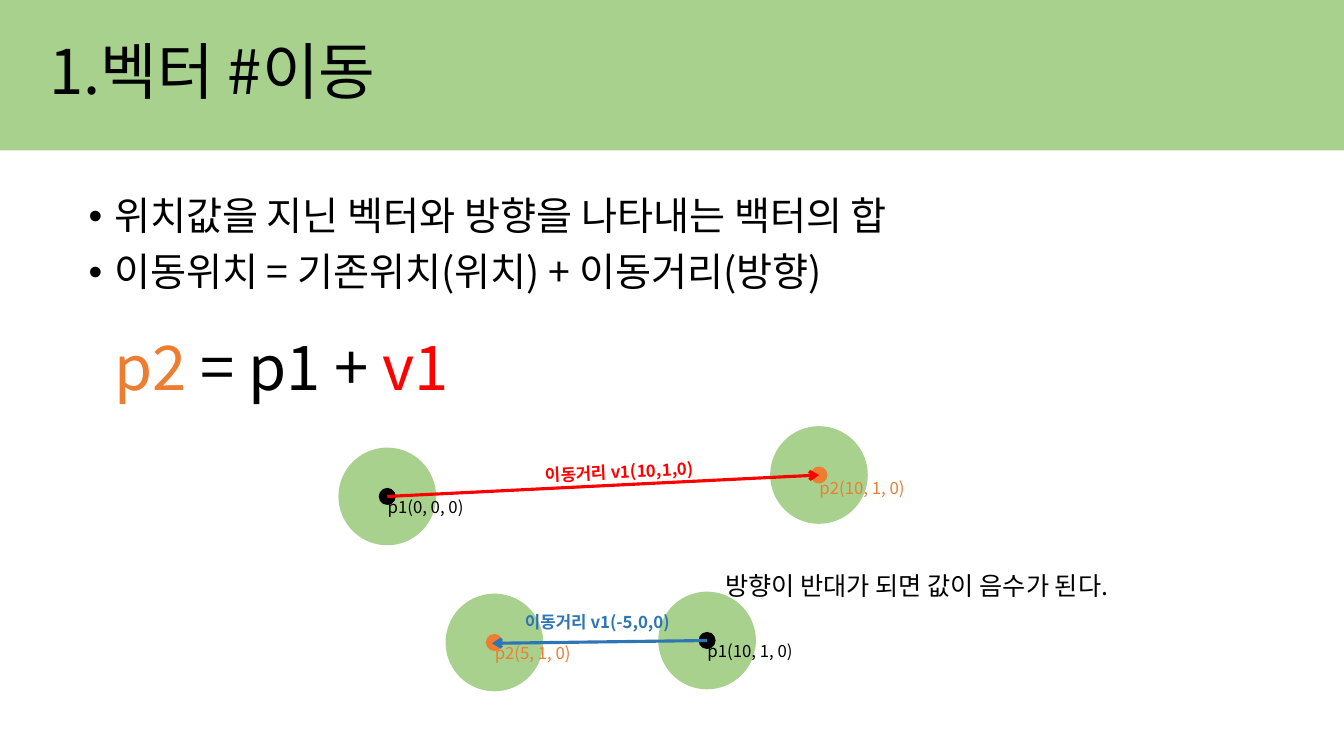
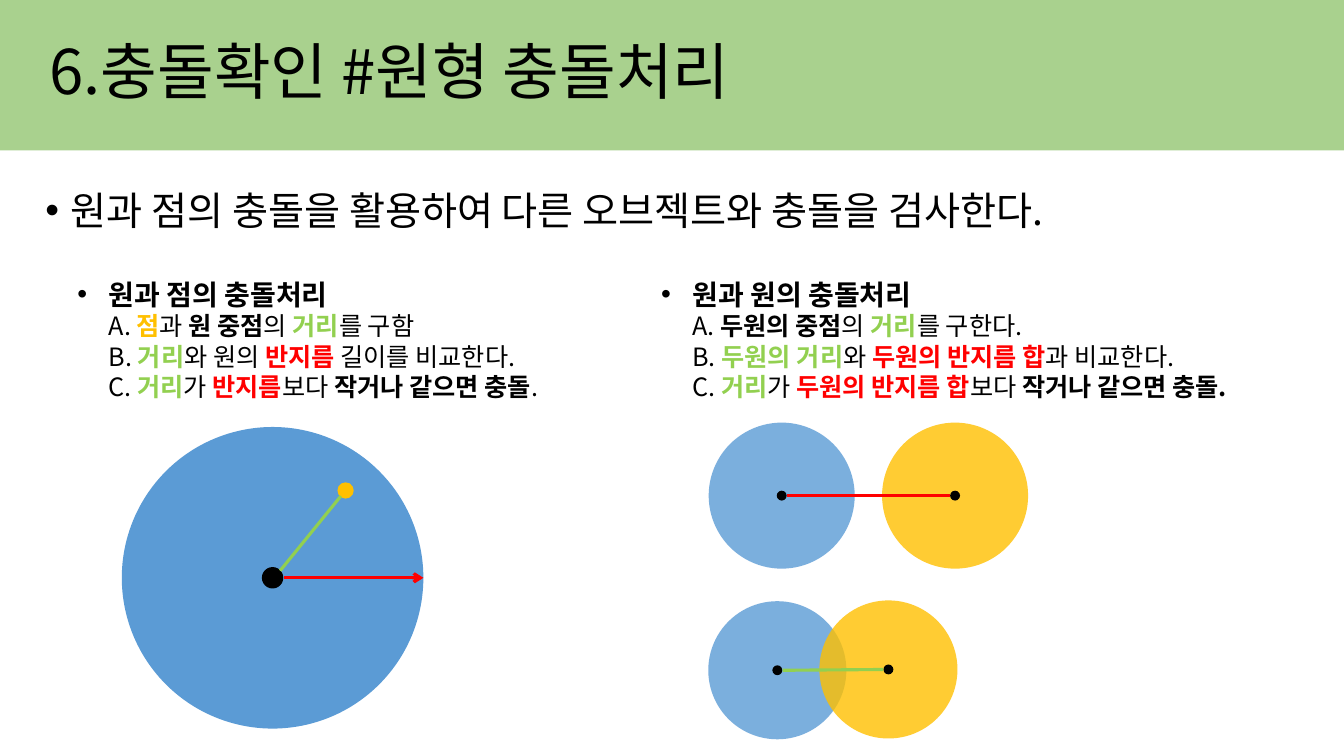
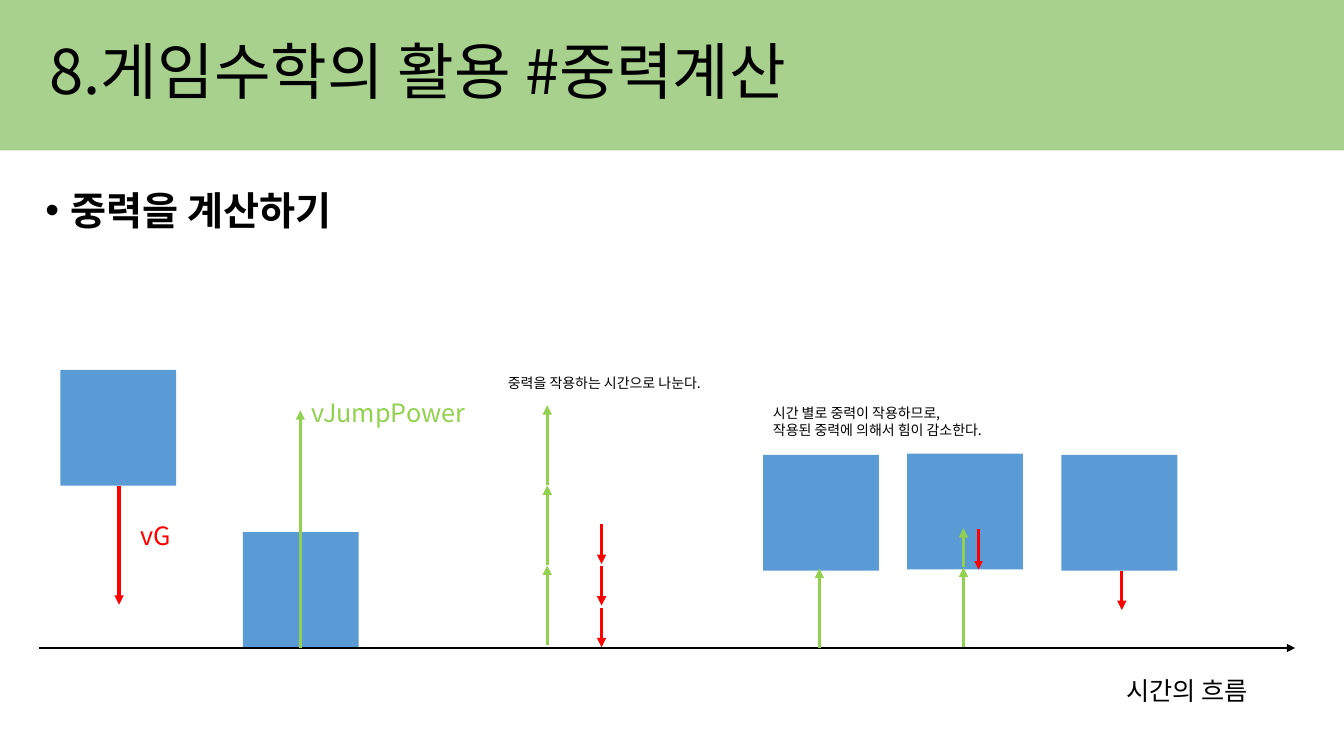
from lxml import etree
from pptx import Presentation
from pptx.dml.color import RGBColor
from pptx.enum.shapes import MSO_CONNECTOR, MSO_SHAPE
from pptx.enum.text import MSO_ANCHOR, MSO_AUTO_SIZE, PP_ALIGN
from pptx.oxml.ns import qn
from pptx.util import Cm, Pt

STRAIGHT = MSO_CONNECTOR.STRAIGHT
OVAL, RECTANGLE = MSO_SHAPE.OVAL, MSO_SHAPE.RECTANGLE
MIDDLE, TOP = MSO_ANCHOR.MIDDLE, MSO_ANCHOR.TOP
NO_FIT = MSO_AUTO_SIZE.NONE
LEFT = PP_ALIGN.LEFT

FONT = "Noto Sans CJK KR"
COLORS = {
    "black": "000000",
    "band": "A9D18E",
    "blue": "5B9BD5",
    "dark_blue": "2E75B6",
    "orange": "ED7D31",
    "yellow": "FFC000",
    "green": "92D050",
    "red": "FF0000",
}


class Deck:
    """Holds the shared style and the slide being drawn."""

    def __init__(self):
        self.presentation = Presentation()
        self.presentation.slide_width = Cm(33.87)
        self.presentation.slide_height = Cm(19.05)
        self.slide = None

    def new_slide(self, title):
        layout = self.presentation.slide_layouts[1]
        self.slide = self.presentation.slides.add_slide(layout)
        # The band lies behind the placeholders
        band = self.shape(RECTANGLE, 0, -0.05, 33.87, 3.84, "band")
        band.element.getparent().insert(2, band.element)
        placeholder = self.slide.shapes.title
        self.place(placeholder, 0.99, 0.05, 29.21, 3.68)
        self.frame(placeholder, MIDDLE)
        self.add_runs(placeholder.text_frame.paragraphs[0], [(title,)], 44, 0.9)

    def place(self, shape, left, top, width, height):
        shape.left, shape.top = Cm(left), Cm(top)
        shape.width, shape.height = Cm(width), Cm(height)

    def frame(self, shape, anchor):
        text_frame = shape.text_frame
        text_frame.word_wrap = True
        text_frame.auto_size = NO_FIT
        text_frame.vertical_anchor = anchor

    def add_runs(self, paragraph, parts, size, line_spacing=1.0, before=0):
        """Each part is (text, colour, bold); the last two may be left out."""
        paragraph.alignment = LEFT
        paragraph.line_spacing = line_spacing
        paragraph.space_before = Pt(before)
        for part in parts:
            text, color, bold = part + ("black", False)[len(part) - 1:]
            run = paragraph.add_run()
            run.text = text
            run.font.size = Pt(size)
            run.font.bold = bold
            run.font.color.rgb = RGBColor.from_string(COLORS[color])
            run.font.name = FONT
            etree.SubElement(run._r.rPr, qn("a:ea")).set("typeface", FONT)

    def indent(self, paragraph, margin, bullet):
        properties = paragraph._p.get_or_add_pPr()
        properties.set("marL", str(Cm(margin)))
        properties.set("indent", str(-Cm(margin) if bullet else 0))
        if bullet:
            etree.SubElement(properties, qn("a:buFont")).set("typeface", "Arial")
            etree.SubElement(properties, qn("a:buChar")).set("char", "•")
        else:
            etree.SubElement(properties, qn("a:buNone"))

    def body(self, left, top, width, height, items):
        placeholder = self.slide.placeholders[1]
        self.place(placeholder, left, top, width, height)
        self.frame(placeholder, TOP)
        text_frame = placeholder.text_frame
        for number, parts in enumerate(items):
            paragraph = text_frame.add_paragraph() if number else text_frame.paragraphs[0]
            self.indent(paragraph, 0.64, True)
            self.add_runs(paragraph, parts, 28, 0.9, 10 if number else 0)
        return text_frame

    def text_box(self, left, top, width, height):
        box = self.slide.shapes.add_textbox(Cm(left), Cm(top), Cm(width), Cm(height))
        self.frame(box, TOP)
        return box

    def text(self, left, top, width, height, lines, size, color="black", bold=False,
             rotation=0):
        box = self.text_box(left, top, width, height)
        box.rotation = rotation
        text_frame = box.text_frame
        for number, line in enumerate(lines):
            paragraph = text_frame.add_paragraph() if number else text_frame.paragraphs[0]
            self.add_runs(paragraph, [(line, color, bold)], size)
        return box

    def steps(self, left, width, heading, lines):
        """A bulleted heading with lettered lines under it."""
        text_frame = self.text_box(left, 6.86, width, 3.43).text_frame
        paragraph = text_frame.paragraphs[0]
        self.indent(paragraph, 0.79, True)
        self.add_runs(paragraph, [(heading, "black", True)], 20)
        for letter, parts in zip("ABC", lines):
            paragraph = text_frame.add_paragraph()
            self.indent(paragraph, 0.79, False)
            self.add_runs(paragraph, [(f"{letter}. ",)] + parts, 18)

    def shape(self, kind, left, top, width, height, color, opacity=100):
        shape = self.slide.shapes.add_shape(kind, Cm(left), Cm(top), Cm(width), Cm(height))
        shape.shadow.inherit = False
        shape.fill.solid()
        shape.fill.fore_color.rgb = RGBColor.from_string(COLORS[color])
        if opacity < 100:
            fill_color = shape.element.spPr.find(".//" + qn("a:srgbClr"))
            etree.SubElement(fill_color, qn("a:alpha")).set("val", str(opacity * 1000))
        shape.line.fill.background()
        return shape

    def circle(self, x, y, diameter, color, opacity=100):
        radius = diameter / 2
        return self.shape(OVAL, x - radius, y - radius, diameter, diameter, color, opacity)

    def marker(self, x, y, label, color, label_rise=0.13):
        """A disc with a centre dot and the name of the point, as one group."""
        parts = [
            self.circle(x, y, 2.46, "band"),
            self.circle(x, y, 0.43, color),
            self.text(x - 0.24, y - label_rise, 3.91, 0.76, [label], 12, color),
        ]
        self.slide.shapes.add_group_shape(parts)

    def line(self, x1, y1, x2, y2, color, head=None, width=2.25):
        connector = self.slide.shapes.add_connector(STRAIGHT, Cm(x1), Cm(y1), Cm(x2), Cm(y2))
        connector.line.color.rgb = RGBColor.from_string(COLORS[color])
        connector.line.width = Pt(width)
        properties = connector.element.spPr
        if head:
            etree.SubElement(properties.find(qn("a:ln")), qn("a:tailEnd")).set("type", head)
        etree.SubElement(properties, qn("a:effectLst"))


def vector_slide(deck):
    deck.new_slide("1.벡터 #이동")
    text_frame = deck.body(1.98, 4.83, 29.21, 7.14, [
        [("위치값을 지닌 벡터와 방향을 나타내는 백터의 합",)],
        [("이동위치 = 기존위치(위치) + 이동거리(방향)",)],
    ])
    formula = text_frame.add_paragraph()
    deck.indent(formula, 0.64, False)
    deck.add_runs(formula, [("p2", "orange"), (" = p1 + ",), ("v1", "red")], 44, 0.9, 30)

    # Move to the right
    deck.marker(9.76, 12.51, "p1(0, 0, 0)", "black")
    deck.marker(20.64, 11.97, "p2(10, 1, 0)", "orange", 0.05)
    deck.line(9.76, 12.51, 20.64, 11.97, "red", "arrow")
    deck.text(13.49, 11.48, 5.31, 0.76, ["이동거리 v1(10,1,0)"], 12, "red", True, -2.7)

    # Move to the left
    deck.marker(17.82, 16.14, "p1(10, 1, 0)", "black")
    deck.marker(12.46, 16.19, "p2(5, 1, 0)", "orange")
    deck.line(17.82, 16.14, 12.4, 16.21, "dark_blue", "arrow")
    deck.text(12.98, 15.29, 5.31, 0.76, ["이동거리 v1(-5,0,0)"], 12, "dark_blue", True)
    deck.text(18.03, 14.25, 11.84, 1.02, ["방향이 반대가 되면 값이 음수가 된다."], 18)


def collision_slide(deck):
    deck.new_slide("6.충돌확인 #원형 충돌처리")
    deck.body(0.89, 4.7, 32.05, 1.63, [
        [("원과 점의 충돌을 활용하여 다른 오브젝트와 충돌을 검사한다.",)],
    ])

    # Circle and point
    distance = ("거리", "green", True)
    radius = ("반지름", "red", True)
    deck.steps(1.7, 14.88, "원과 점의 충돌처리", [
        [("점", "yellow", True), ("과 ",), ("원 중점", "black", True), ("의 ",),
         distance, ("를 구함",)],
        [distance, ("와 원의 ",), radius, (" 길이를 비교한다.",)],
        [distance, ("가 ",), radius, ("보다 ",),
         ("작거나 같으면 충돌", "black", True), (".",)],
    ])
    deck.circle(6.87, 14.56, 7.6, "blue")
    deck.circle(6.87, 14.56, 0.54, "black")
    deck.line(7.16, 14.56, 10.67, 14.56, "red", "arrow")
    deck.circle(8.71, 12.36, 0.41, "yellow")
    deck.line(7.06, 14.38, 8.59, 12.5, "green")

    # Circle and circle
    radius_sum = ("두원의 반지름 합", "red", True)
    deck.steps(16.41, 17.48, "원과 원의 충돌처리", [
        [("두원의 중점", "black", True), ("의 ",), distance, ("를 구한다.",)],
        [("두원의 거리", "green", True), ("와 ",), radius_sum, ("과 비교한다.",)],
        [distance, ("가 ",), radius_sum, ("보다 ",),
         ("작거나 같으면 충돌.", "black", True)],
    ])
    for blue_x, yellow_x, blue_y, yellow_y, diameter, color in (
        (19.7, 24.07, 12.49, 12.49, 3.68, "red"),
        (19.59, 22.39, 16.89, 16.87, 3.48, "green"),
    ):
        for x, y, fill in ((blue_x, blue_y, "blue"), (yellow_x, yellow_y, "yellow")):
            deck.circle(x, y, diameter, fill, 80)
            deck.circle(x, y, 0.25, "black")
        deck.line(blue_x + 0.13, blue_y, yellow_x - 0.13, yellow_y, color)


def gravity_slide(deck):
    deck.new_slide("8.게임수학의 활용 #중력계산")
    deck.body(0.89, 4.7, 32.05, 1.55, [[("중력을 계산하기", "black", True)]])
    ground = 16.33

    # Falling and jumping boxes
    for left, top in ((1.52, 9.32), (6.12, 13.41), (19.23, 11.46),
                      (22.86, 11.43), (26.75, 11.46)):
        deck.shape(RECTANGLE, left, top, 2.92, 2.92, "blue")

    # Time axis
    deck.line(0.99, ground, 32.64, ground, "black", "triangle", 1.5)

    # Vertical forces: x, start, end, colour, width
    forces = [
        (3, 12.24, 15.24, "red", 2.25),
        (7.57, ground, 10.34, "green", 2.25),
        (20.65, ground, 14.33, "green", 2.25),
        (24.28, 16.31, 14.3, "green", 2.25),
        (24.28, 14.3, 13.31, "green", 2.25),
        (24.66, 13.34, 14.35, "red", 1.5),
        (28.27, 14.38, 15.37, "red", 2.25),
    ]
    for step in range(3):
        jump, fall = 16.26 - 2.02 * step, 13.21 + 1.05 * step
        forces.append((13.79, jump, jump - 2.01, "green", 2.25))
        forces.append((15.16, fall, fall + 1, "red", 2.25))
    for x, start, end, color, width in forces:
        deck.line(x, start, x, end, color, "triangle", width)

    # Labels
    deck.text(3.3, 12.98, 1.52, 1.02, ["vG"], 18, "red")
    deck.text(7.59, 9.88, 5.05, 1.02, ["vJumpPower"], 18, "green")
    deck.text(28.14, 16.89, 4.39, 1.02, ["시간의 흐름"], 18)
    deck.text(12.55, 9.3, 6.43, 0.69, ["중력을 작용하는 시간으로 나눈다."], 10)
    deck.text(19.23, 10.08, 11.63, 1.12,
              ["시간 별로 중력이 작용하므로,", "작용된 중력에 의해서 힘이 감소한다."], 10)


def main():
    deck = Deck()
    vector_slide(deck)
    collision_slide(deck)
    gravity_slide(deck)
    deck.presentation.save("out.pptx")


if __name__ == "__main__":
    main()
